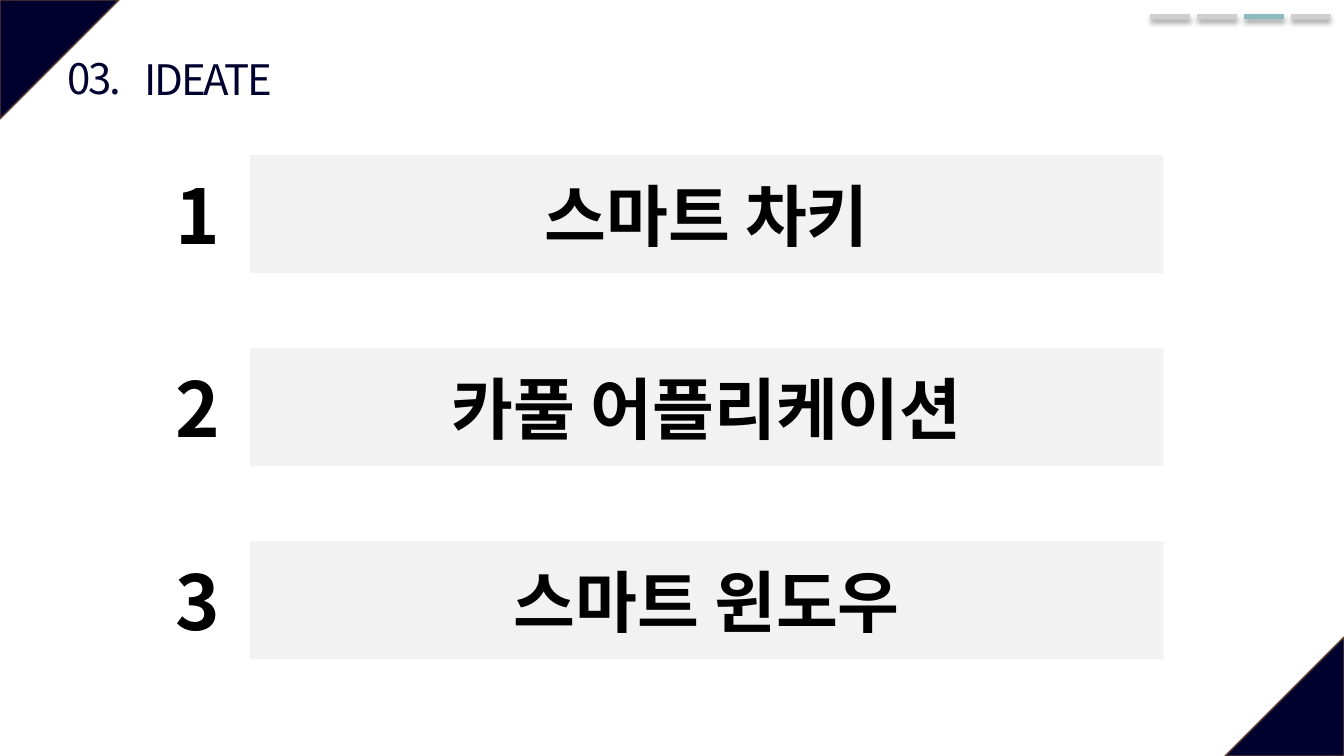
from lxml.etree import SubElement
from pptx import Presentation
from pptx.dml.color import RGBColor
from pptx.enum.shapes import MSO_CONNECTOR, MSO_SHAPE
from pptx.enum.text import MSO_ANCHOR, MSO_AUTO_SIZE, PP_ALIGN
from pptx.oxml.ns import qn
from pptx.util import Inches, Pt

FONT = "Noto Sans CJK KR"
NAVY, BROWN, BLACK = "00002F", "5B3F33", "000000"
GREY, TEAL, PALE = "D0CECE", "8DBABD", "F2F2F2"
IDEAS = ["스마트 차키", "카풀 어플리케이션", "스마트 윈도우"]


def color(code):
    return RGBColor.from_string(code)


def inches(*box):
    return [Inches(n) for n in box]


def write(frame, text, size, tint, bold=False, gap=None):
    frame.vertical_anchor = MSO_ANCHOR.MIDDLE
    para = frame.paragraphs[0]
    para.alignment = PP_ALIGN.CENTER
    run = para.add_run()
    run.text = text
    font = run.font
    font.name, font.size, font.bold = FONT, Pt(size), bold
    font.color.rgb = color(tint)
    props = run._r.get_or_add_rPr()
    SubElement(props, qn("a:ea"), typeface=FONT)
    if gap is not None:
        props.set("spc", str(int(gap * 100)))


def label(slide, box, text, size, tint, **style):
    frame = slide.shapes.add_textbox(*inches(*box)).text_frame
    frame.word_wrap = False
    frame.auto_size = MSO_AUTO_SIZE.SHAPE_TO_FIT_TEXT
    write(frame, text, size, tint, **style)


def block(slide, kind, box, fill, edge=None):
    shape = slide.shapes.add_shape(kind, *inches(*box))
    shape.shadow.inherit = False
    shape.fill.solid()
    shape.fill.fore_color.rgb = color(fill)
    if edge:
        shape.line.color.rgb = color(edge)
        shape.line.width = Pt(1)
    else:
        shape.line.fill.background()
    return shape


def corner(slide, left, top, side, turn):
    shape = block(slide, MSO_SHAPE.ISOSCELES_TRIANGLE,
                  (left, top, side, side), NAVY, BROWN)
    shape.adjustments[0] = 0
    shape.rotation = turn


def shade(line):
    # Soft shadow straight below the line
    effects = SubElement(line._element.spPr, qn("a:effectLst"))
    outer = SubElement(effects, qn("a:outerShdw"), blurRad=str(Pt(4)),
                       dist=str(Pt(3)), dir="5400000", algn="t", rotWithShape="0")
    tint = SubElement(outer, qn("a:srgbClr"), val=BLACK)
    SubElement(tint, qn("a:alpha"), val="40000")


def steps(slide, left, top, width, count, active):
    gap = 0.07
    size = (width - gap * (count - 1)) / count
    for i in range(count):
        start = left + i * (size + gap)
        line = slide.shapes.add_connector(
            MSO_CONNECTOR.STRAIGHT, *inches(start, top, start + size, top))
        line.line.color.rgb = color(TEAL if i == active else GREY)
        line.line.width = Pt(3.5)
        shade(line)


def header(slide, left, top):
    label(slide, (left + 0.78, top + 0.01, 1.51, 0.61), "IDEATE", 30, NAVY, gap=-1.5)
    label(slide, (left, top, 0.81, 0.61), "03.", 30, NAVY, gap=-1.5)


def ideas(slide, left, top, width, height):
    bar, indent = 1.17, 0.85
    pitch = (height - bar) / (len(IDEAS) - 1)
    for i, idea in enumerate(IDEAS):
        y = top + i * pitch
        rect = block(slide, MSO_SHAPE.RECTANGLE,
                     (left + indent, y, width - indent, bar), PALE)
        write(rect.text_frame, idea, 48, BLACK, bold=True)
        label(slide, (left, y + 0.08, 0.67, 1.01), str(i + 1), 54, BLACK, bold=True)


def main():
    deck = Presentation()
    deck.slide_width, deck.slide_height = inches(13.33, 7.5)
    slide = deck.slides.add_slide(deck.slide_layouts[6])
    # Corners
    corner(slide, 0, 0, 1.18, 90)
    corner(slide, 12.15, 6.32, 1.18, 270)
    # Progress marks and title
    steps(slide, 11.41, 0.16, 1.79, 4, active=2)
    header(slide, 0.53, 0.47)
    # Numbered ideas
    ideas(slide, 1.63, 1.54, 9.91, 5)
    deck.save("out.pptx")


if __name__ == "__main__":
    main()
